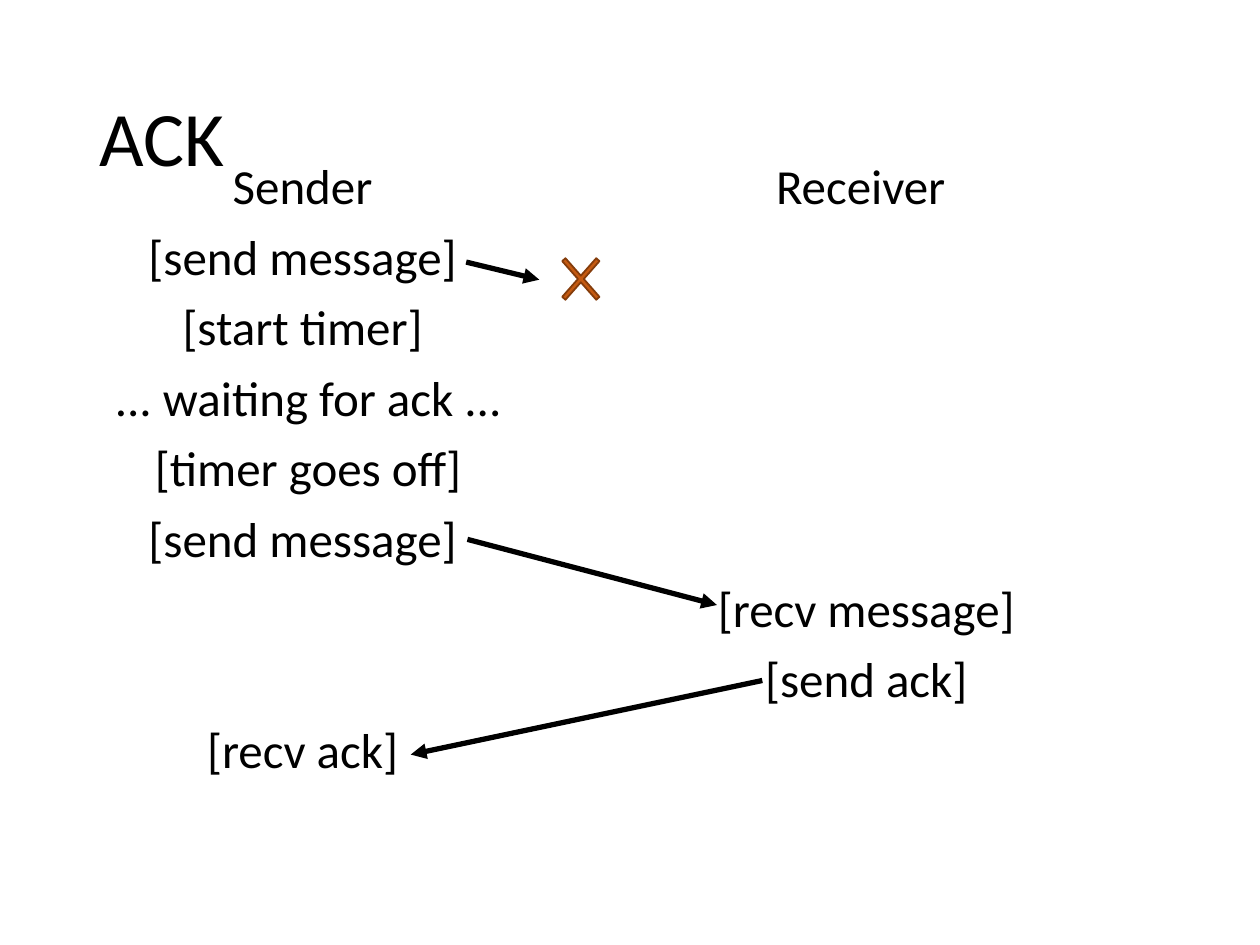
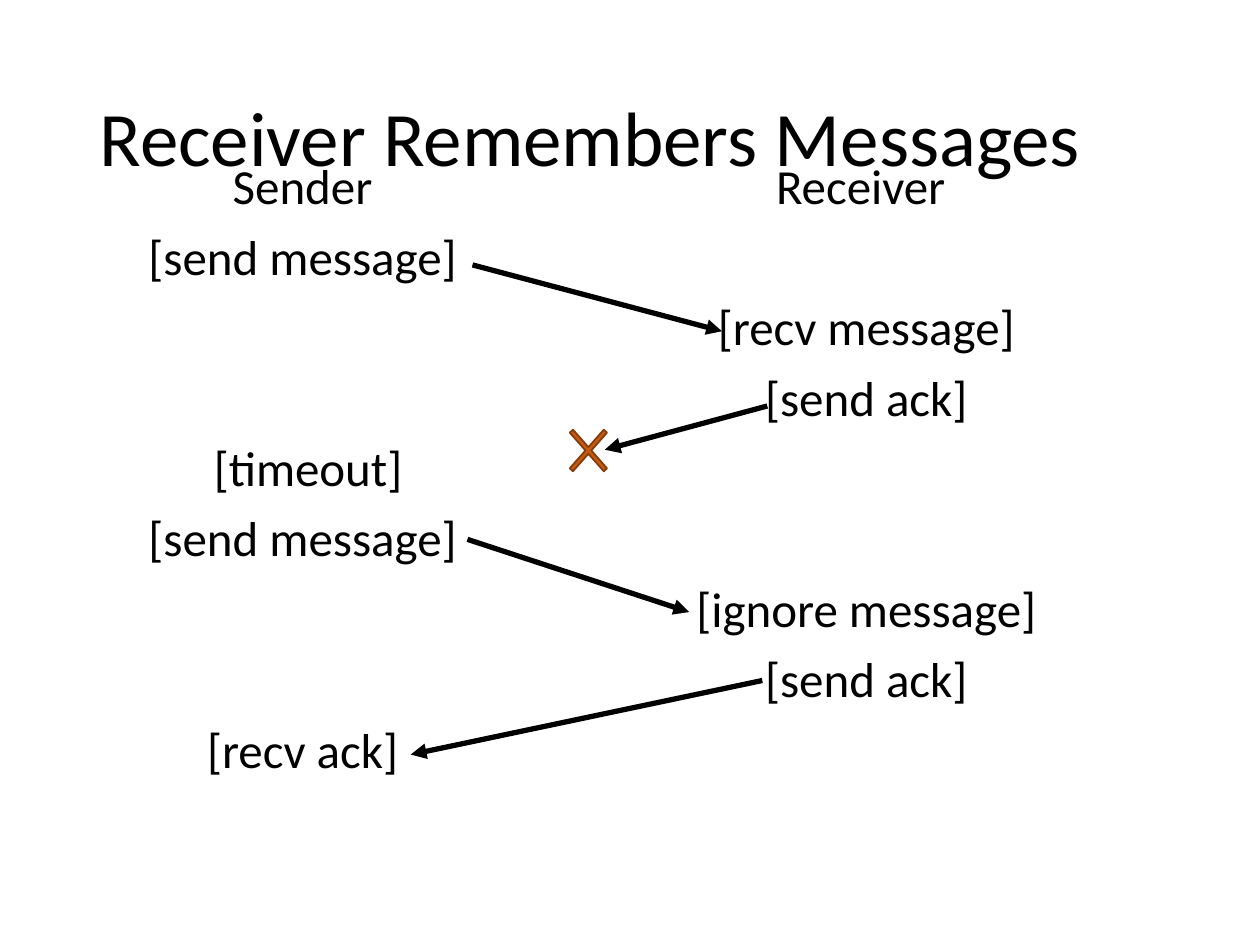
from collections import namedtuple

from pptx import Presentation
from pptx.dml.color import RGBColor
from pptx.enum.shapes import MSO_CONNECTOR, MSO_SHAPE
from pptx.enum.text import MSO_ANCHOR, MSO_AUTO_SIZE, PP_ALIGN
from pptx.oxml.ns import qn
from pptx.oxml.xmlchemy import OxmlElement
from pptx.util import Inches, Pt

Box = namedtuple("Box", "left top width height")

COLORS = {
    "paper": "FFFFFF",
    "ink": "000000",
    "loss": "C55A11",
    "loss_edge": "843C0B",
}
FONT = "Calibri"
SLIDE_WIDTH, SLIDE_HEIGHT = 10, 7.5
COLUMN = SLIDE_WIDTH / 10
ROW = 0.56
LINE_GAP = 10
LINE_PITCH = 40.2

TITLE_BOX = Box(0.69, 0.4, 8.62, 1.45)
BOARD = Box(0.69, 1.24, 7.94, 9 * ROW)
LANE_WIDTH = 3.51
CROSS_WIDTH, CROSS_HEIGHT = 0.52, 0.59

RETRY_ACK = ((5.36, 7.43), (2.57, 8.48))

EXCHANGES = [
    {
        "title": "ACK",
        "sender": {
            0: "Sender ",
            1: "[send message] ",
            2: "[start timer] ",
            3: "... waiting for ack ...",
            4: "[timer goes off]",
            5: "[send message] ",
            8: "[recv ack] ",
        },
        "receiver": {0: "Receiver ", 6: "[recv message]", 7: "[send ack]"},
        "loss": (3.92, 1.74),
        "arrows": [
            ((3.01, 1.5), (3.59, 1.75)),
            ((3.02, 5.43), (5, 6.36)),
            RETRY_ACK,
        ],
    },
    {
        "title": "Receiver Remembers Messages",
        "sender": {
            0: "Sender ",
            1: "[send message] ",
            4: "[timeout]",
            5: "[send message] ",
            8: "[recv ack] ",
        },
        "receiver": {
            0: "Receiver ",
            2: "[recv message]",
            3: "[send ack]",
            6: "[ignore message]",
            7: "[send ack]",
        },
        "loss": (3.98, 4.17),
        "arrows": [
            ((3.02, 5.43), (4.78, 6.46)),
            RETRY_ACK,
            ((3.06, 1.54), (5.04, 2.48)),
            ((5.4, 3.54), (4.11, 4.16)),
        ],
    },
]


def rgb(name):
    return RGBColor.from_string(COLORS[name])


def board_point(board, point):
    column, row = point
    return board.left + column * COLUMN, board.top + row * ROW


def place(shape, box):
    shape.left, shape.top, shape.width, shape.height = map(Inches, box)


def prepare_frame(shape, box, anchor):
    place(shape, box)
    frame = shape.text_frame
    frame.word_wrap = True
    frame.auto_size = MSO_AUTO_SIZE.NONE
    frame.vertical_anchor = anchor
    return frame


def write(para, text, size, align=PP_ALIGN.LEFT, before=0, color="ink"):
    properties = para._p.get_or_add_pPr()
    properties.set("marL", "0")
    properties.set("indent", "0")
    properties.append(OxmlElement("a:buNone"))
    para.alignment = align
    para.line_spacing = 0.9
    para.space_before = Pt(before)
    span = para.add_run()
    span.text = text
    span.font.name = FONT
    span.font.size = Pt(size)
    span.font.color.rgb = rgb(color)


def add_title(page, box, text):
    frame = prepare_frame(page.shapes.title, box, MSO_ANCHOR.MIDDLE)
    write(frame.paragraphs[0], text, 44)


def fill_lane(placeholder, box, steps):
    frame = prepare_frame(placeholder, box, MSO_ANCHOR.TOP)
    previous = -1
    for row, text in steps.items():
        para = frame.add_paragraph() if row else frame.paragraphs[0]
        skipped = row - previous - 1
        write(para, text, 28, align=PP_ALIGN.CENTER,
              before=LINE_GAP + skipped * LINE_PITCH)
        previous = row


def add_loss(page, board, center):
    x, y = board_point(board, center)
    box = Box(x - CROSS_WIDTH / 2, y - CROSS_HEIGHT / 2, CROSS_WIDTH, CROSS_HEIGHT)
    cross = page.shapes.add_shape(MSO_SHAPE.MATH_MULTIPLY, *map(Inches, box))
    cross.adjustments[0] = 0.067
    cross.shadow.inherit = False
    cross.fill.solid()
    cross.fill.fore_color.rgb = rgb("loss")
    cross.line.color.rgb = rgb("loss_edge")
    cross.line.width = Pt(1)


def add_arrow(page, board, start, end):
    ends = board_point(board, start) + board_point(board, end)
    arrow = page.shapes.add_connector(MSO_CONNECTOR.STRAIGHT, *map(Inches, ends))
    arrow.line.color.rgb = rgb("ink")
    arrow.line.width = Pt(3)
    properties = arrow._element.spPr
    head = OxmlElement("a:tailEnd")
    head.set("type", "triangle")
    properties.find(qn("a:ln")).append(head)
    properties.append(OxmlElement("a:effectLst"))


def add_exchange(page, board, exchange):
    sender, receiver = page.placeholders[1], page.placeholders[2]
    sender_box = board._replace(width=LANE_WIDTH)
    receiver_box = Box(board.left + board.width - LANE_WIDTH, board.top,
                       LANE_WIDTH, 4.75)
    fill_lane(sender, sender_box, exchange["sender"])
    fill_lane(receiver, receiver_box, exchange["receiver"])
    add_loss(page, board, exchange["loss"])
    for start, end in exchange["arrows"]:
        add_arrow(page, board, start, end)


def main():
    deck = Presentation()
    deck.slide_width = Inches(SLIDE_WIDTH)
    deck.slide_height = Inches(SLIDE_HEIGHT)
    background = deck.slide_master.background.fill
    background.solid()
    background.fore_color.rgb = rgb("paper")
    two_lanes = deck.slide_layouts.get_by_name("Two Content")
    for exchange in EXCHANGES:
        page = deck.slides.add_slide(two_lanes)
        add_title(page, TITLE_BOX, exchange["title"])
        add_exchange(page, BOARD, exchange)
    deck.save("out.pptx")


if __name__ == "__main__":
    main()
